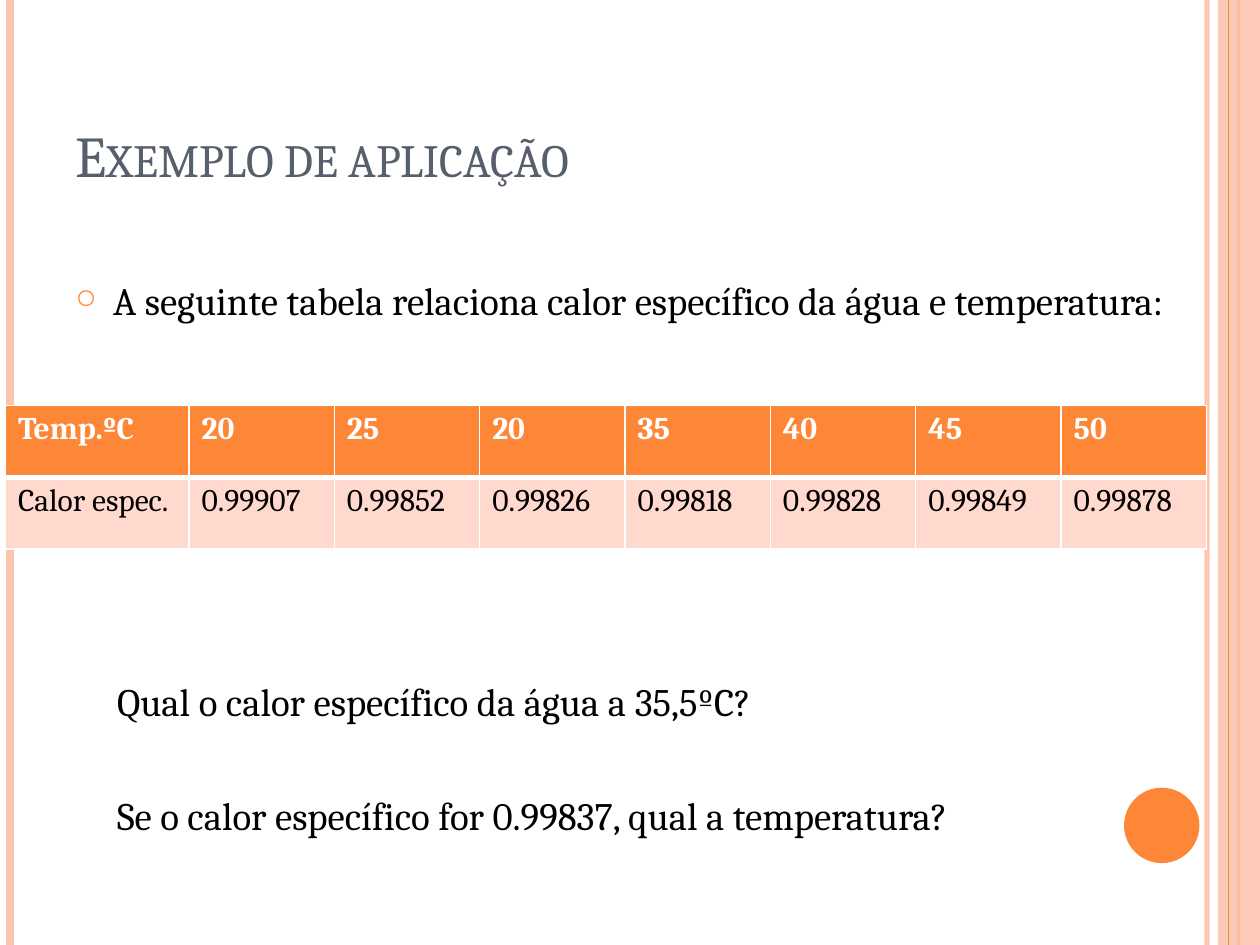
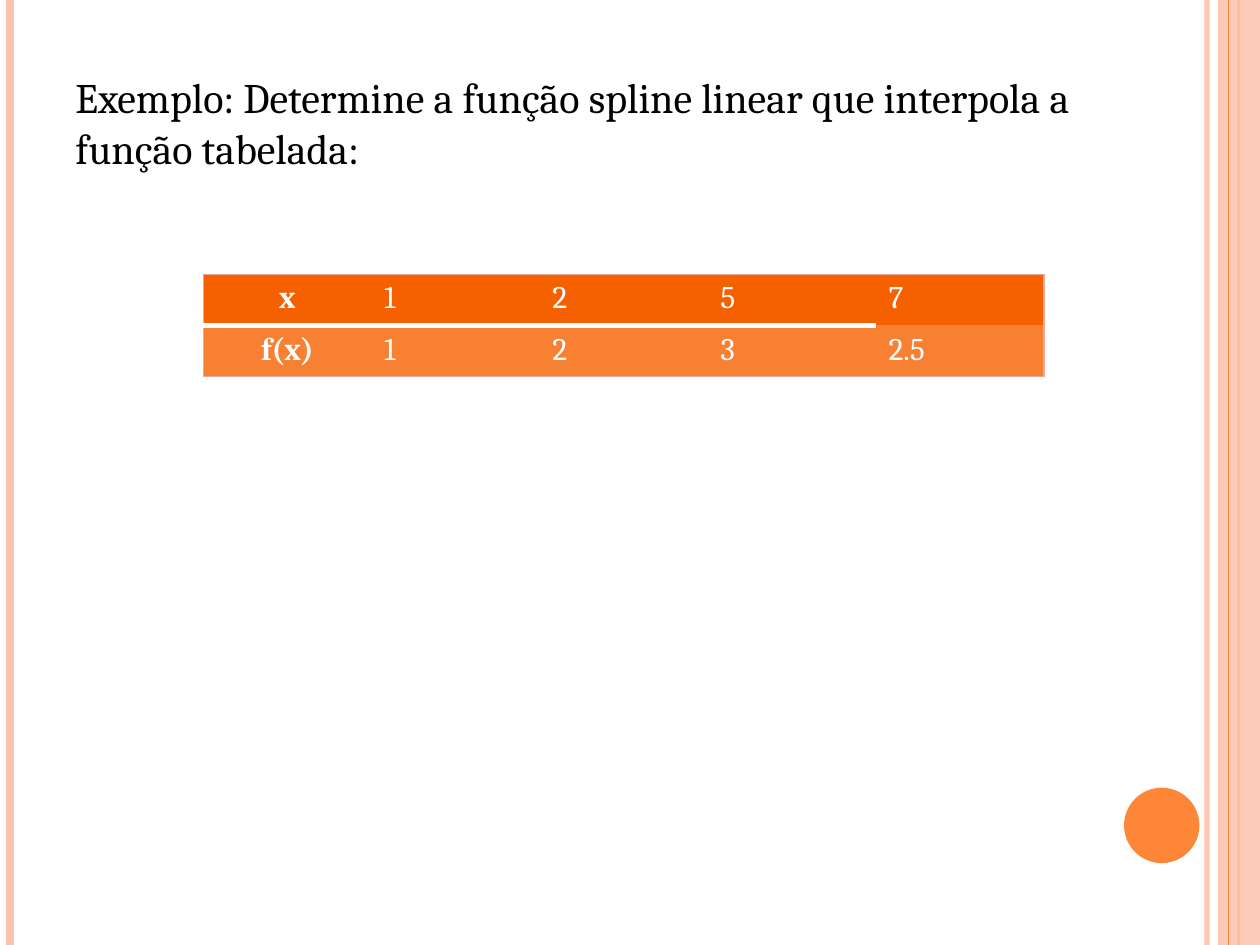
from dataclasses import dataclass

from lxml.etree import SubElement
from pptx import Presentation
from pptx.dml.color import RGBColor
from pptx.enum.shapes import MSO_CONNECTOR, MSO_SHAPE
from pptx.enum.text import MSO_ANCHOR, MSO_AUTO_SIZE, PP_ALIGN
from pptx.oxml.ns import qn
from pptx.util import Cm, Pt


@dataclass(frozen=True)
class Theme:
    font: str = "Cambria"
    text: str = "000000"
    title: str = "575F6D"
    white: str = "FFFFFF"
    accent: str = "FE8637"
    band: str = "FEC3AE"
    pale_row: str = "FFD9CE"
    deep_row: str = "F56000"
    mid_row: str = "F78033"
    frame: str = "E8A996"
    title_size: float = 33
    prompt_size: float = 24
    body_size: float = 22.2
    cell_size: float = 18


T = Theme()
TITLE_ONLY, BLANK = 5, 6


def rgb(value):
    return RGBColor.from_string(value)


def set_alpha(element, percent):
    """Make the solid colour inside a fill or line partly transparent."""
    color = element.find(".//" + qn("a:srgbClr"))
    SubElement(color, qn("a:alpha"), val=str(percent * 1000))


def add_run(p, text, size, color=T.text, bold=False):
    r = p.add_run()
    r.text = text
    r.font.name = T.font
    r.font.size = Pt(size)
    r.font.color.rgb = rgb(color)
    r.font.bold = bold
    return r


def add_rule(slide, x, width, color, alpha=100):
    """Draw a vertical line over the full slide height."""
    line = slide.shapes.add_connector(
        MSO_CONNECTOR.STRAIGHT, Cm(x), Cm(0), Cm(x), Cm(19.05))
    line.line.color.rgb = rgb(color)
    line.line.width = Pt(width)
    sp_pr = line._element.spPr
    SubElement(sp_pr, qn("a:effectLst"))
    if alpha < 100:
        set_alpha(sp_pr, alpha)


def add_solid(slide, kind, left, top, width, height, color, alpha=100):
    sp = slide.shapes.add_shape(kind, Cm(left), Cm(top), Cm(width), Cm(height))
    sp.shadow.inherit = False
    sp.fill.solid()
    sp.fill.fore_color.rgb = rgb(color)
    sp.line.fill.background()
    if alpha < 100:
        set_alpha(sp._element.spPr, alpha)


def add_frame(slide):
    """Draw the side bands and the disc that every slide carries."""
    add_rule(slide, 24.33, 3, T.band, 93)
    add_rule(slide, 0.21, 4.5, T.band)
    add_rule(slide, 24.97, 1.5, T.accent)
    add_solid(slide, MSO_SHAPE.RECTANGLE, 24.55, 0, 0.85, 19.05, T.band, 87)
    add_rule(slide, 24.77, 0.75, T.accent)
    add_solid(slide, MSO_SHAPE.OVAL, 22.66, 15.88, 1.52, 1.52, T.accent)


def set_title(slide, text):
    sp = slide.shapes.title
    sp.left, sp.top, sp.width, sp.height = Cm(1.27), Cm(0.76), Cm(20.75), Cm(3.18)
    tf = sp.text_frame
    tf.auto_size = MSO_AUTO_SIZE.NONE
    tf.vertical_anchor = MSO_ANCHOR.BOTTOM
    p = tf.paragraphs[0]
    p.alignment = PP_ALIGN.LEFT
    r = add_run(p, text, T.title_size, T.title)
    r.font._element.set("cap", "small")


def add_text(slide, left, top, width, height, lines, size, gap=0):
    """Add one paragraph per line, gap points apart; return the paragraphs."""
    box = slide.shapes.add_textbox(Cm(left), Cm(top), Cm(width), Cm(height))
    tf = box.text_frame
    tf.word_wrap = True
    for i, line in enumerate(lines):
        p = tf.add_paragraph() if i else tf.paragraphs[0]
        if i:
            p.space_before = Pt(gap)
        add_run(p, line, size)
    return tf.paragraphs


def set_bullet(p):
    p.alignment = PP_ALIGN.JUSTIFY
    p_pr = p._p.get_or_add_pPr()
    p_pr.set("marL", str(Cm(0.76)))
    p_pr.set("indent", str(-Cm(0.76)))
    SubElement(SubElement(p_pr, qn("a:buClr")), qn("a:srgbClr"), val=T.accent)
    SubElement(p_pr, qn("a:buSzPct"), val="70000")
    SubElement(p_pr, qn("a:buChar"), char="○")


def set_borders(cell, borders):
    """Apply {side: (colour, points)}; sides not named get no line."""
    tc_pr = cell._tc.get_or_add_tcPr()
    for side in "LRTB":
        color, width = borders.get(side, (None, 0))
        ln = SubElement(tc_pr, qn("a:ln" + side), w=str(Pt(width)))
        if color:
            SubElement(SubElement(ln, qn("a:solidFill")), qn("a:srgbClr"), val=color)
        else:
            SubElement(ln, qn("a:noFill"))


def add_table(slide, left, top, widths, row_height, rows, fills, borders_at, style_at):
    """Build a table; borders_at and style_at map (row, column) to
    borders and to (colour, bold, alignment)."""
    table = slide.shapes.add_table(
        len(rows), len(widths), Cm(left), Cm(top),
        Cm(sum(widths)), Cm(row_height * len(rows))).table
    table.first_row = table.horz_banding = False
    for column, width in zip(table.columns, widths):
        column.width = Cm(width)
    for i, (row, fill) in enumerate(zip(rows, fills)):
        table.rows[i].height = Cm(row_height)
        for j, text in enumerate(row):
            cell = table.cell(i, j)
            set_borders(cell, borders_at(i, j))
            cell.fill.solid()
            cell.fill.fore_color.rgb = rgb(fill)
            color, bold, alignment = style_at(i, j)
            p = cell.text_frame.paragraphs[0]
            p.alignment = alignment
            add_run(p, text, T.cell_size, color, bold)


def heat_borders(i, j):
    thin, thick = (T.white, 1), (T.white, 3)
    return {"L": thin, "R": thin,
            "T": thick if i else thin, "B": thin if i else thick}


def heat_style(i, j):
    return (T.text if i else T.white), i == 0, PP_ALIGN.LEFT


def spline_borders(i, j):
    """Outer frame, plus a white line between the rows up to the last column."""
    outer = (T.frame, 1)
    borders = {"B" if i else "T": outer}
    if j == 0:
        borders["L"] = outer
    if j == 4:
        borders["R"] = outer
    else:
        borders["T" if i else "B"] = (T.white, 2.75)
    return borders


def spline_style(i, j):
    return T.white, j == 0, PP_ALIGN.LEFT if j else PP_ALIGN.CENTER


def add_heat_slide(prs):
    slide = prs.slides.add_slide(prs.slide_layouts[TITLE_ONLY])
    add_frame(slide)
    set_title(slide, "Exemplo de aplicação")
    intro = add_text(
        slide, 1.27, 5.46, 22.83, 1.2,
        ["A seguinte tabela relaciona calor específico da água e temperatura:"],
        T.body_size)
    set_bullet(intro[0])
    rows = [
        ["Temp.ºC", "20", "25", "20", "35", "40", "45", "50"],
        ["Calor espec.", "0.99907", "0.99852", "0.99826", "0.99818",
         "0.99828", "0.99849", "0.99878"],
    ]
    add_table(slide, 0.11, 8.17, [3.7] + [2.93] * 7, 1.45, rows,
              [T.accent, T.pale_row], heat_borders, heat_style)
    add_text(slide, 2.11, 13.54, 20, 3.5,
             ["Qual o calor específico da água a 35,5ºC?",
              "Se o calor específico for 0.99837, qual a temperatura?"],
             T.body_size, gap=38.5)


def add_spline_slide(prs):
    slide = prs.slides.add_slide(prs.slide_layouts[BLANK])
    add_frame(slide)
    add_text(
        slide, 1.27, 1.32, 22.23, 2.4,
        ["Exemplo: Determine a função spline linear que interpola a função tabelada:"],
        T.prompt_size)
    rows = [["x", "1", "2", "5", "7"], ["f(x)", "1", "2", "3", "2.5"]]
    add_table(slide, 4.1, 5.53, [3.39] * 5, 1.03, rows,
              [T.deep_row, T.mid_row], spline_borders, spline_style)


def main():
    prs = Presentation()
    prs.slide_width, prs.slide_height = Cm(25.4), Cm(19.05)
    add_heat_slide(prs)
    add_spline_slide(prs)
    prs.save("out.pptx")


if __name__ == "__main__":
    main()
